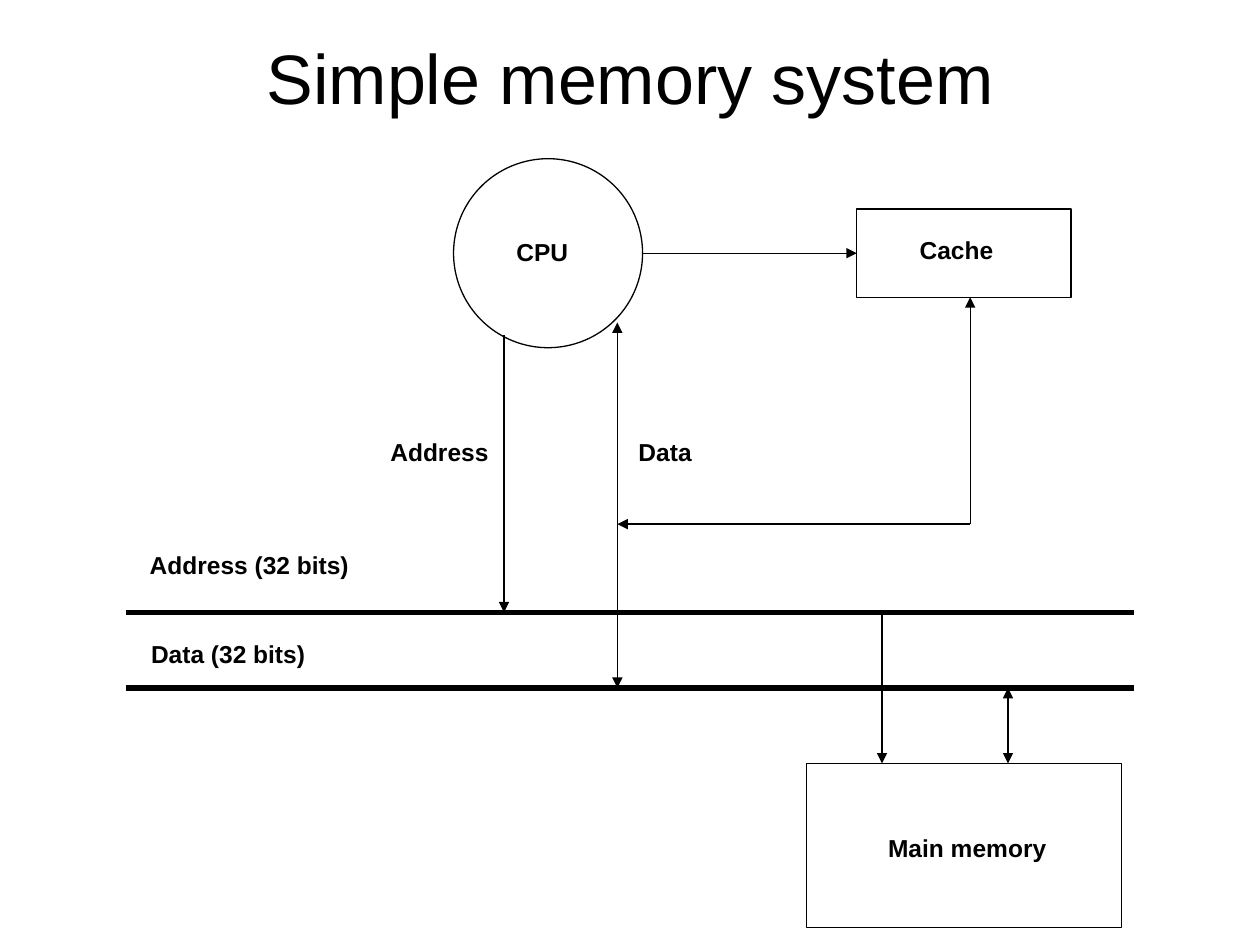
from collections import namedtuple

from pptx import Presentation
from pptx.dml.color import RGBColor
from pptx.enum.shapes import MSO_CONNECTOR, MSO_SHAPE
from pptx.enum.text import MSO_ANCHOR, MSO_AUTO_SIZE, PP_ALIGN
from pptx.oxml.ns import qn
from pptx.util import Pt
from lxml import etree

BLACK = RGBColor(0, 0, 0)
OVAL, RECTANGLE = MSO_SHAPE.OVAL, MSO_SHAPE.RECTANGLE
STRAIGHT = MSO_CONNECTOR.STRAIGHT
CENTER, LEFT = PP_ALIGN.CENTER, PP_ALIGN.LEFT
MIDDLE = MSO_ANCHOR.MIDDLE
FIT_SHAPE, NO_FIT = MSO_AUTO_SIZE.SHAPE_TO_FIT_TEXT, MSO_AUTO_SIZE.NONE
TITLE_ONLY = 5

TITLE_FORMAT = {"name": "Arial", "size": Pt(40), "bold": False}
LABEL_FORMAT = {"name": "Arial", "size": Pt(14), "bold": True}
LABEL_HEIGHT = 24.2
THIN, THICK = 0.75, 3

Box = namedtuple("Box", "left top width height")


def points(*values):
    return [Pt(value) for value in values]


def write_text(shape, text, text_format, alignment):
    para = shape.text_frame.paragraphs[0]
    para.alignment = alignment
    span = para.add_run()
    span.text = text
    for name, value in text_format.items():
        setattr(span.font, name, value)
    span.font.color.rgb = BLACK


def add_title(page, box, text):
    title = page.shapes.title
    title.left, title.top, title.width, title.height = points(*box)
    title.text_frame.auto_size = NO_FIT
    title.text_frame.vertical_anchor = MIDDLE
    write_text(title, text, TITLE_FORMAT, CENTER)


def add_label(page, left, top, width, text):
    label = page.shapes.add_textbox(*points(left, top, width, LABEL_HEIGHT))
    label.text_frame.word_wrap = False
    label.text_frame.auto_size = FIT_SHAPE
    write_text(label, text, LABEL_FORMAT, LEFT)


def add_unit(page, box, kind, text, text_left, text_top, text_width):
    """Outline a unit; its label is offset from the corner of the box."""
    unit = page.shapes.add_shape(kind, *points(*box))
    unit.shadow.inherit = False
    unit.fill.background()
    unit.line.color.rgb = BLACK
    unit.line.width = Pt(THIN)
    add_label(page, box.left + text_left, box.top + text_top, text_width, text)


def add_wire(page, start, end, arrows=(), weight=THIN):
    wire = page.shapes.add_connector(STRAIGHT, *points(*start, *end))
    wire.line.color.rgb = BLACK
    wire.line.width = Pt(weight)
    outline = wire.line._get_or_add_ln()
    for arrow in arrows:
        etree.SubElement(outline, qn(f"a:{arrow}"), type="triangle")
    etree.SubElement(wire._element.spPr, qn("a:effectLst"))


def add_units(page, cpu, cache, memory):
    add_unit(page, cpu, OVAL, "CPU", 28.8, 41, 47.5)
    add_unit(page, cache, RECTANGLE, "Cache", 28.8, 11.5, 68.4)
    add_unit(page, memory, RECTANGLE, "Main memory", 39.6, 36, 112.3)


def add_buses(page, box):
    """Draw the address bus on the top edge and the data bus on the bottom."""
    right, bottom = box.left + box.width, box.top + box.height
    for y in (box.top, bottom):
        add_wire(page, (box.left, y), (right, y), weight=THICK)
    add_label(page, box.left + 6.5, box.top - 38.9, 144, "Address (32 bits)")
    add_label(page, box.left + 7.2, box.top + 11.5, 118, "Data (32 bits)")


def add_wires(page, cpu, cache, memory, buses):
    one_way, back, both = ["tailEnd"], ["headEnd"], ["headEnd", "tailEnd"]
    address_bus, data_bus = buses.top, buses.top + buses.height

    # CPU to cache
    middle = cpu.top + cpu.height / 2
    add_wire(page, (cpu.left + cpu.width, middle), (cache.left, middle), one_way)

    # CPU to the buses
    address_x, data_x = cpu.left + 28.8, cpu.left + 93.6
    add_wire(page, (address_x, cpu.top + 100.8), (address_x, address_bus), one_way)
    add_wire(page, (data_x, cpu.top + 93.6), (data_x, data_bus), both)
    add_label(page, address_x - 72, cpu.top + 155.5, 93.6, "Address")
    add_label(page, data_x + 5, cpu.top + 155.5, 52.6, "Data")

    # Cache to the data line
    cache_x, cache_bottom = cache.left + 64.8, cache.top + cache.height
    corner = (cache_x, cache_bottom + 129.6)
    add_wire(page, (data_x, corner[1]), corner, back)
    add_wire(page, (cache_x, cache_bottom), corner, back)

    # Buses to main memory
    for offset, bus, arrows in ((43.2, address_bus, one_way), (115.2, data_bus, both)):
        x = memory.left + offset
        add_wire(page, (x, bus), (x, memory.top), arrows)


def main():
    deck = Presentation()
    deck.slide_width, deck.slide_height = points(720, 540)
    page = deck.slides.add_slide(deck.slide_layouts[TITLE_ONLY])

    cpu = Box(259.2, 90.7, 108, 108)
    cache = Box(489.6, 119.5, 122.4, 50.4)
    memory = Box(460.8, 436.3, 180, 93.6)
    buses = Box(72, 349.9, 576, 43.2)

    add_title(page, Box(36, 21.6, 648, 44), "Simple memory system")
    add_units(page, cpu, cache, memory)
    add_buses(page, buses)
    add_wires(page, cpu, cache, memory, buses)
    deck.save("out.pptx")


if __name__ == "__main__":
    main()
